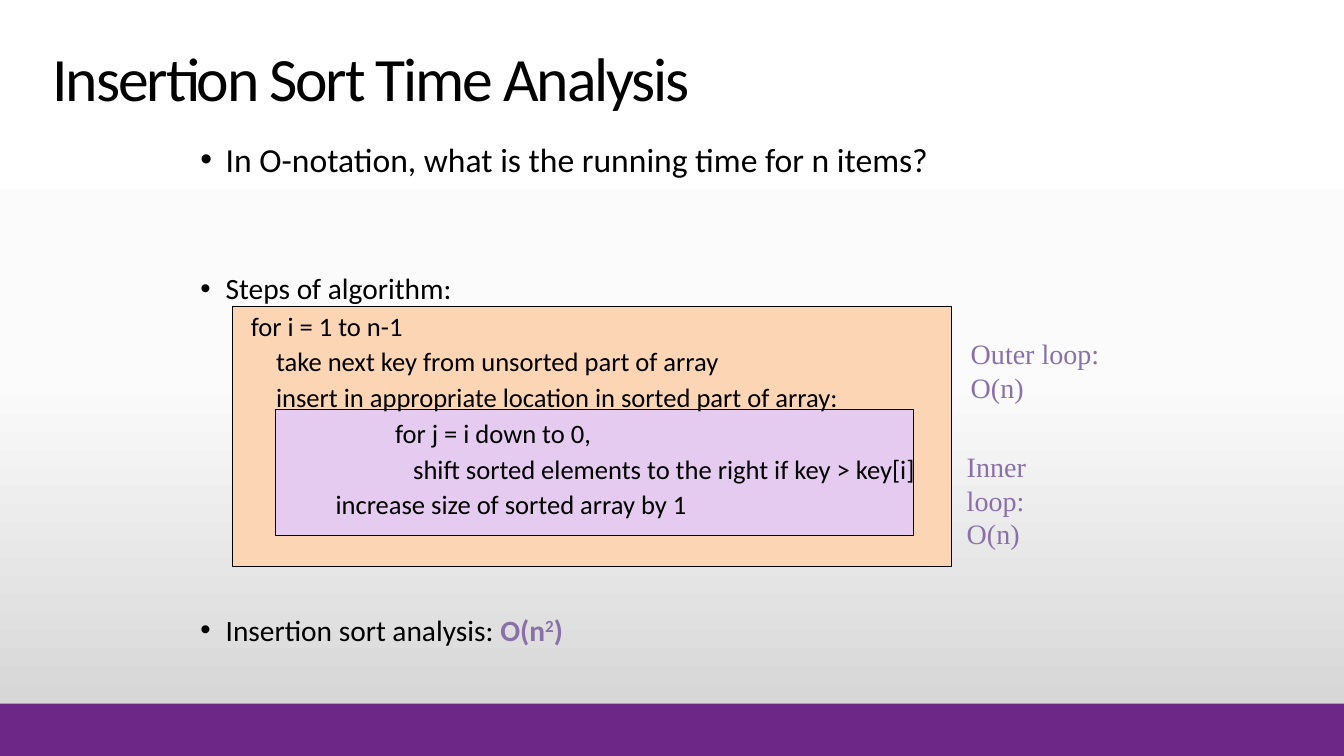
from copy import deepcopy
from dataclasses import dataclass

from lxml.etree import SubElement
from pptx import Presentation
from pptx.dml.color import RGBColor
from pptx.enum.shapes import MSO_SHAPE as Preset
from pptx.enum.text import MSO_ANCHOR as Anchor
from pptx.oxml.ns import qn
from pptx.util import Inches, Pt


@dataclass(frozen=True)
class Theme:
    font: str = "Calibri"
    note_font: str = "Times New Roman"
    text: str = "000000"
    accent: str = "8970A9"
    band: str = "6C2787"
    outer_loop: str = "FCD5B5"
    inner_loop: str = "E6CBF0"
    background: tuple = ((0, "FFFFFF"), (0.5, "FBFBFB"), (1, "D1D1D1"))
    title_size: int = 44
    question_size: int = 24
    bullet_size: int = 21
    note_size: int = 20
    code_size: int = 19


THEME = Theme()

# Each code line with its indent in inches from the left of the text area
CODE = (
    (0.5, "for i = 1 to n-1"),
    (0.75, "take next key from unsorted part of array"),
    (0.75, "insert in appropriate location in sorted part of array:"),
    (1.93, "for j = i down to 0,"),
    (2.11, "shift sorted elements to the right if key > key[i]"),
    (1.34, "increase size of sorted array by 1"),
)


def add_text(paragraph, text, size, color=THEME.text, font=THEME.font,
             bold=False, spacing=None, baseline=None):
    run = paragraph.add_run()
    run.text = text
    run.font.name = font
    run.font.size = Pt(size)
    run.font.bold = bold
    run.font.color.rgb = RGBColor.from_string(color)
    properties = run.font._element
    if spacing is not None:
        properties.set("spc", str(int(spacing * 100)))
    if baseline is not None:
        properties.set("baseline", str(baseline * 1000))


def add_frame(slide, box, anchor=Anchor.TOP):
    frame = slide.shapes.add_textbox(*map(Inches, box)).text_frame
    frame.word_wrap = True
    frame.vertical_anchor = anchor
    return frame


def next_paragraph(frame):
    """Return the unused first paragraph, or add one."""
    first = frame.paragraphs[0]
    return frame.add_paragraph() if first.runs else first


def add_line(frame, indent, space_before, bullet=False):
    """Start a body line whose text begins at the indent."""
    paragraph = next_paragraph(frame)
    paragraph.line_spacing = 0.9
    paragraph.space_before = Pt(space_before)
    properties = paragraph._p.get_or_add_pPr()
    properties.set("marL", str(Inches(indent)))
    properties.set("indent", str(-Inches(indent) if bullet else 0))
    if bullet:
        SubElement(properties, qn("a:buFont"), typeface="Arial")
        SubElement(properties, qn("a:buChar"), char="•")
    else:
        SubElement(properties, qn("a:buNone"))
    return paragraph


def add_rectangle(slide, box, fill, line=None):
    shape = slide.shapes.add_shape(Preset.RECTANGLE, *map(Inches, box))
    shape.shadow.inherit = False
    shape.fill.solid()
    shape.fill.fore_color.rgb = RGBColor.from_string(fill)
    if line:
        shape.line.color.rgb = RGBColor.from_string(line)
        shape.line.width = Pt(0.75)
    else:
        shape.line.fill.background()


def add_background(slide):
    fill = slide.background.fill
    fill.gradient()
    fill.gradient_angle = 270
    stops = slide.element.find(".//" + qn("a:gsLst"))
    stops.append(deepcopy(stops[0]))
    for stop, (position, color) in zip(fill.gradient_stops, THEME.background):
        stop.position = position
        stop.color.rgb = RGBColor.from_string(color)


def add_title(slide, box, text):
    paragraph = add_frame(slide, box, Anchor.BOTTOM).paragraphs[0]
    paragraph.line_spacing = 0.9
    add_text(paragraph, text, THEME.title_size, spacing=-1.5)


def add_loop_boxes(slide, box):
    """Draw the outer loop in the box and the inner loop inside it."""
    left, top, width, height = box
    add_rectangle(slide, box, THEME.outer_loop, THEME.text)
    inner = (left + 0.42, top + 1.02, width - 0.8, height - 1.33)
    add_rectangle(slide, inner, THEME.inner_loop, THEME.text)


def add_body(slide, box):
    frame = add_frame(slide, box)
    section_gap = 68
    add_text(add_line(frame, 0.25, 10, bullet=True),
             "In O-notation, what is the running time for n items?",
             THEME.question_size)
    add_text(add_line(frame, 0.25, section_gap, bullet=True),
             "Steps of algorithm:", THEME.bullet_size)
    for indent, text in CODE:
        add_text(add_line(frame, indent, 5), text, THEME.code_size)

    analysis = add_line(frame, 0.25, section_gap, bullet=True)
    add_text(analysis, "Insertion sort analysis: ", THEME.bullet_size)
    for text, baseline in (("O(n", None), ("2", 30), (")", None)):
        add_text(analysis, text, THEME.bullet_size, color=THEME.accent,
                 bold=True, baseline=baseline)


def add_note(slide, box, lines):
    frame = add_frame(slide, box)
    for text in lines:
        add_text(next_paragraph(frame), text, THEME.note_size,
                 color=THEME.accent, font=THEME.note_font)


def main():
    presentation = Presentation()
    presentation.slide_width = Inches(13.33)
    presentation.slide_height = Inches(7.5)
    slide = presentation.slides.add_slide(presentation.slide_layouts[6])

    add_background(slide)
    add_rectangle(slide, (0, 6.98, 13.33, 0.52), THEME.band)
    add_loop_boxes(slide, (2.31, 3.04, 7.13, 2.58))
    add_body(slide, (1.89, 1.37, 9.56, 5.53))
    add_title(slide, (0.42, 0.32, 10.25, 0.87), "Insertion Sort Time Analysis")
    add_note(slide, (9.53, 3.29, 1.5, 0.77), ("Outer loop:", "O(n)"))
    add_note(slide, (9.49, 4.41, 1.4, 0.77), ("Inner loop:", "O(n)"))
    presentation.save("out.pptx")


if __name__ == "__main__":
    main()
